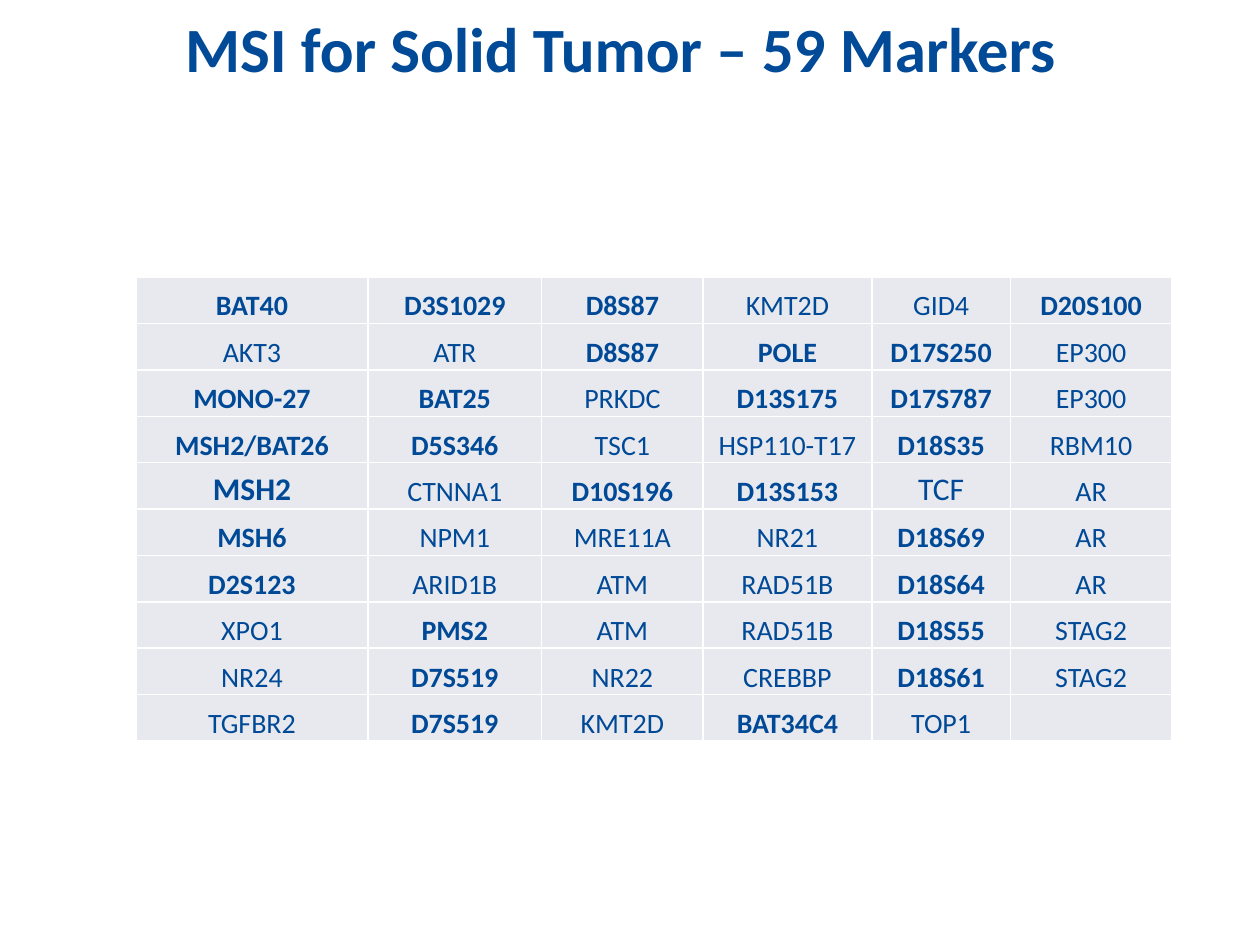
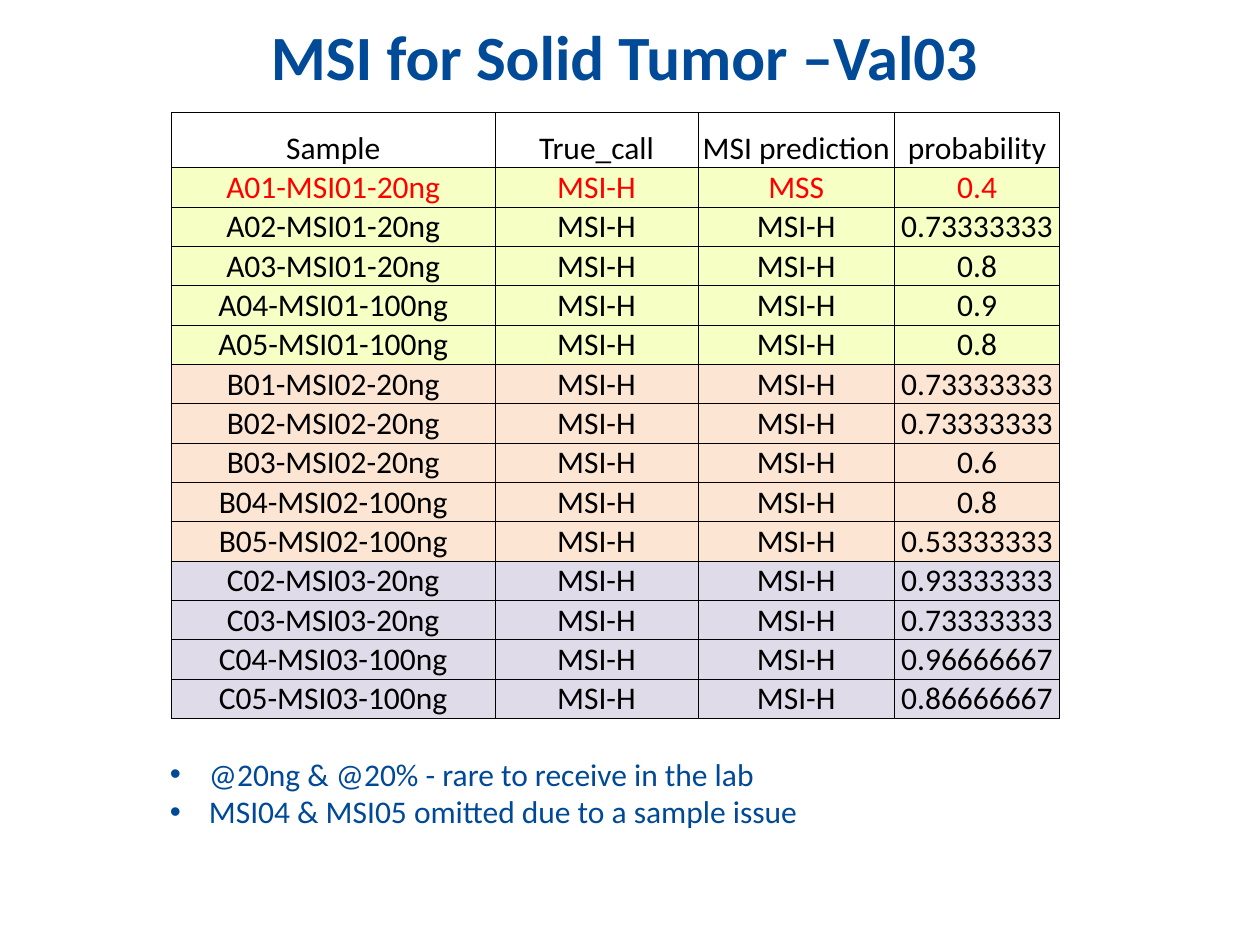
"""Build two slides on MSI in solid tumors: the marker list and the Val03 calls."""
from lxml import etree
from pptx import Presentation, util as u
from pptx.dml.color import RGBColor
from pptx.enum import text
from pptx.oxml import ns

rgb = RGBColor.from_string
FONT, BLUE, BLACK, RED, WHITE, GREY = "Calibri", "004997", "000000", "FF0000", "FFFFFF", "E7E9EF"
CENTER = text.PP_ALIGN.CENTER

prs = Presentation()
prs.slide_width, prs.slide_height = u.Inches(10), u.Inches(7.5)
X, Y = prs.slide_width / 100, prs.slide_height / 100


def write(p, words, size=18, color=BLUE, bold=False, align=CENTER, spacing=None):
    """Put formatted words into a paragraph."""
    p.alignment, p.line_spacing = align, spacing
    r = p.add_run()
    r.text = words
    r.font.name, r.font.size, r.font.bold = FONT, u.Pt(size), bold
    r.font.color.rgb = rgb(color)


def add_grid(s, left, top, cols, rows, line, width):
    """Add a plain table, sized in hundredths of the slide, with even borders."""
    frame = s.shapes.add_table(len(rows), len(cols), int(left * X), int(top * Y),
                               int(sum(cols) * X), int(sum(rows) * Y))
    table = frame.table
    table.first_row = table.horz_banding = False
    for col, share in zip(table.columns, cols):
        col.width = int(share * X)
    for row, share in zip(table.rows, rows):
        row.height = int(share * Y)
    for cell in table.iter_cells():
        cell.vertical_anchor = text.MSO_ANCHOR.BOTTOM
        cell.margin_left = cell.margin_right = cell.margin_top = u.Pt(0.5)
        cell.margin_bottom = 0
        tcPr = cell._tc.get_or_add_tcPr()
        for side in ("lnL", "lnR", "lnT", "lnB"):
            ln = etree.SubElement(tcPr, ns.qn(f"a:{side}"), w=str(u.Pt(width)))
            solid = etree.SubElement(ln, ns.qn("a:solidFill"))
            etree.SubElement(solid, ns.qn("a:srgbClr"), val=line)
    return table


titles = [("MSI for Solid Tumor – 59 Markers", 1.5, 1.87),
          ("MSI for Solid Tumor –Val03", 1.8, 2.8)]
for words, left, top in titles:
    s = prs.slides.add_slide(prs.slide_layouts[5])
    sp = s.shapes.title
    sp.left, sp.top, sp.width, sp.height = int(left * X), int(top * Y), int(96.5 * X), int(9.07 * Y)
    tf = sp.text_frame
    tf.auto_size = text.MSO_AUTO_SIZE.NONE
    tf.vertical_anchor = text.MSO_ANCHOR.TOP
    tf.margin_left = tf.margin_top = 0
    tf.margin_right, tf.margin_bottom = u.Inches(0.1), u.Inches(0.05)
    write(tf.paragraphs[0], words, size=36, color="004A97", bold=True, spacing=0.9)
markers_slide, calls_slide = prs.slides

# A leading asterisk marks a bold marker.
markers = """
*BAT40 *D3S1029 *D8S87 KMT2D GID4 *D20S100
AKT3 ATR *D8S87 *POLE *D17S250 EP300
*MONO-27 *BAT25 PRKDC *D13S175 *D17S787 EP300
*MSH2/BAT26 *D5S346 TSC1 HSP110-T17 *D18S35 RBM10
*MSH2 CTNNA1 *D10S196 *D13S153 TCF AR
*MSH6 NPM1 MRE11A NR21 *D18S69 AR
*D2S123 ARID1B ATM RAD51B *D18S64 AR
XPO1 *PMS2 ATM RAD51B *D18S55 STAG2
NR24 *D7S519 NR22 CREBBP *D18S61 STAG2
TGFBR2 *D7S519 KMT2D *BAT34C4 TOP1
""".strip().splitlines()
table = add_grid(markers_slide, 10.8, 29.33, [18.4, 13.8, 12.8, 13.4, 11, 12.8],
                 [4.91] * len(markers), WHITE, 1)
for cell in table.iter_cells():
    cell.fill.solid()
    cell.fill.fore_color.rgb = rgb(GREY)
for i, row in enumerate(markers):
    for j, marker in enumerate(row.split()):
        name = marker.lstrip("*")
        write(table.cell(i, j).text_frame.paragraphs[0], name,
              size=18 if name in ("MSH2", "TCF") else 16, bold=marker != name)

header = ["Sample", "True_call", "MSI prediction", "probability"]
samples = [
    ("A01-MSI01-20ng", "0.4"), ("A02-MSI01-20ng", "0.73333333"), ("A03-MSI01-20ng", "0.8"),
    ("A04-MSI01-100ng", "0.9"), ("A05-MSI01-100ng", "0.8"),
    ("B01-MSI02-20ng", "0.73333333"), ("B02-MSI02-20ng", "0.73333333"), ("B03-MSI02-20ng", "0.6"),
    ("B04-MSI02-100ng", "0.8"), ("B05-MSI02-100ng", "0.53333333"),
    ("C02-MSI03-20ng", "0.93333333"), ("C03-MSI03-20ng", "0.73333333"),
    ("C04-MSI03-100ng", "0.96666667"), ("C05-MSI03-100ng", "0.86666667"),
]
group_fills = {"A": "F6FFC4", "B": "FCE6D3", "C": "DFDBE9"}
calls = [header] + [[name, "MSI-H", "MSI-H" if float(prob) > 0.5 else "MSS", prob]
                    for name, prob in samples]
table = add_grid(calls_slide, 13.6, 11.87, [25.7, 16.1, 15.6, 13.1],
                 [5.87] + [4.14] * len(samples), BLACK, 0.5)
for i, row in enumerate(calls):
    for j, words in enumerate(row):
        cell = table.cell(i, j)
        if i:
            cell.fill.solid()
            cell.fill.fore_color.rgb = rgb(group_fills[row[0][0]])
        else:
            cell.fill.background()
        write(cell.text_frame.paragraphs[0], words, color=RED if "MSS" in row else BLACK)

notes = ["@20ng & @20% - rare to receive in the lab", "MSI04 & MSI05 omitted due to a sample issue"]
tf = calls_slide.shapes.add_textbox(int(12.5 * X), int(79.2 * Y), int(52.5 * X), int(9.47 * Y)).text_frame
tf.word_wrap = True
for i, note in enumerate(notes):
    p = tf.add_paragraph() if i else tf.paragraphs[0]
    pPr = p._p.get_or_add_pPr()
    pPr.set("marL", str(u.Inches(0.31)))
    pPr.set("indent", str(-u.Inches(0.31)))
    etree.SubElement(pPr, ns.qn("a:buFont"), typeface="Arial")
    etree.SubElement(pPr, ns.qn("a:buChar"), char="•")
    write(p, note, align=text.PP_ALIGN.LEFT)

prs.save("out.pptx")
